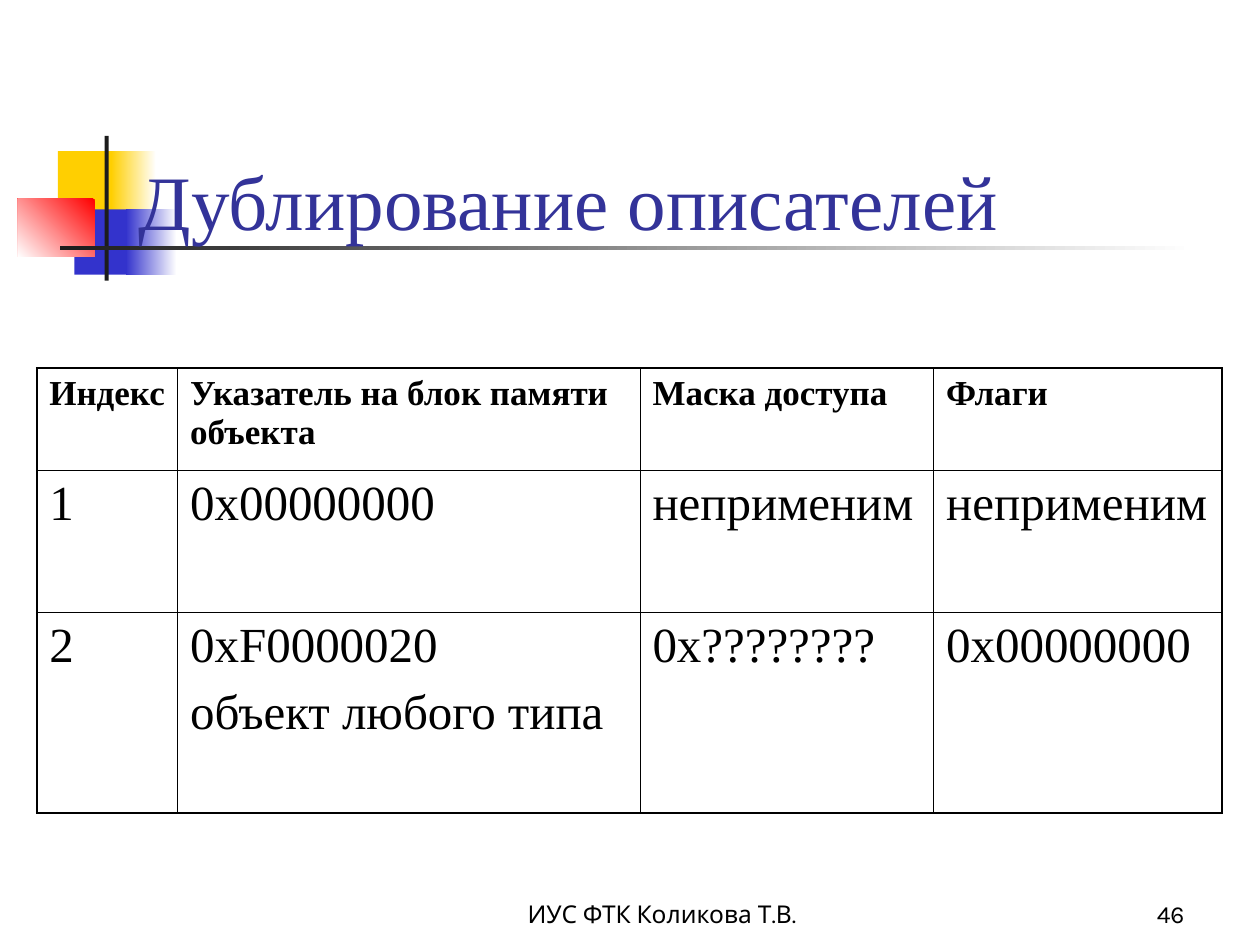
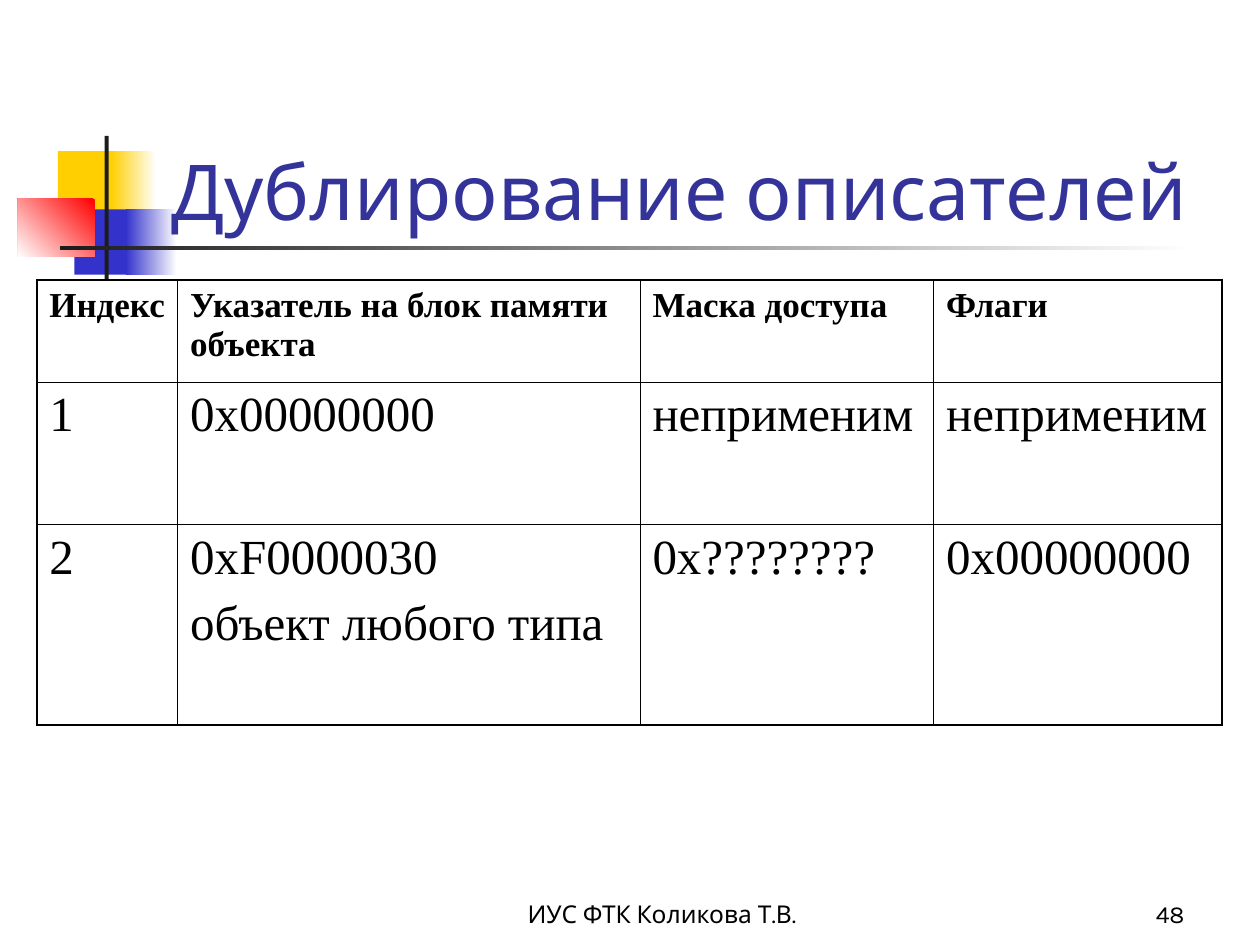
from lxml.etree import SubElement
from pptx import Presentation
from pptx.dml.color import RGBColor
from pptx.enum.shapes import MSO_SHAPE as Shape
from pptx.enum.text import MSO_ANCHOR as Anchor, MSO_AUTO_SIZE as AutoSize, PP_ALIGN as Align
from pptx.oxml.ns import qn
from pptx.util import Cm, Pt

SERIF, SANS = "Times New Roman", "Karla"
BLACK, WHITE, INK = "000000", "FFFFFF", "1C1C1C"
YELLOW, BLUE, RED, TITLE_BLUE = "FFCF01", "3333CC", "FF0000", "333399"
THIN, THICK = 0.45, 1.08

MOTIF = [
    ((1.17, 3.05, 1.22, 1.32), [YELLOW], 0),
    ((2.24, 3.05, 0.91, 1.32), [WHITE, YELLOW], 180),
    ((1.5, 4.22, 1.17, 1.32), [BLUE], 0),
    ((2.54, 4.22, 1.02, 1.32), [WHITE, BLUE], 180),
    ((0.36, 4.01, 1.55, 1.17), [RED, WHITE], 225),
    ((2.11, 2.74, 0.08, 2.92), [INK], 0),
    ((1.22, 4.95, 22.86, 0.09), [WHITE, INK], 180),
]
COLUMNS = (2.84, 9.32, 5.92, 5.82)
ROWS = (2.06, 2.87, 4.04)
HEADINGS = ("Индекс", "Указатель на блок памяти объекта", "Маска доступа", "Флаги")
HEADING_FORMAT = {"name": SERIF, "size": Pt(20), "bold": True}
BODY_FORMAT = {"name": SERIF, "size": Pt(28), "bold": False}
FOOTER_FORMAT = {"name": SANS, "size": Pt(14)}


def rgb(value):
    return RGBColor.from_string(value)


def lengths(box):
    return [Cm(v) for v in box]


def set_attributes(target, values):
    for name, value in values.items():
        setattr(target, name, value)


def write(tf, text, font, color=BLACK, **paragraph):
    tf.text = text
    for p in tf.paragraphs:
        set_attributes(p, paragraph)
        for r in p.runs:
            set_attributes(r.font, font)
            r.font.color.rgb = rgb(color)


def add_block(s, box, colors, angle):
    sp = s.shapes.add_shape(Shape.RECTANGLE, *lengths(box))
    sp.shadow.inherit = False
    sp.line.fill.background()
    if len(colors) == 1:
        sp.fill.solid()
        sp.fill.fore_color.rgb = rgb(colors[0])
    else:
        sp.fill.gradient()
        sp.fill.gradient_angle = angle
        for stop, color in zip(sp.fill.gradient_stops, colors):
            stop.color.rgb = rgb(color)
    return sp


def add_motif(s):
    for box, colors, angle in MOTIF:
        sp = add_block(s, box, colors, angle)
        s.slide_layout.shapes._spTree.append(sp._element)


def set_title(s, text, left, top, font):
    sp = s.shapes.title
    set_attributes(sp, dict(zip(("left", "top", "width", "height"),
                                lengths((left, top, 21.64, 3.18)))))
    set_attributes(sp.text_frame, {"word_wrap": True, "auto_size": AutoSize.NONE,
                                   "vertical_anchor": Anchor.BOTTOM})
    write(sp.text_frame, text, {"name": font, "size": Pt(44)}, TITLE_BLUE,
          alignment=Align.LEFT)


def add_footer(s, text, left, width, align):
    tf = s.shapes.add_textbox(*lengths((left, 17.58, width, 1.27))).text_frame
    set_attributes(tf, {"word_wrap": True, "vertical_anchor": Anchor.BOTTOM})
    write(tf, text, FOOTER_FORMAT, alignment=align)


def set_borders(cell, widths):
    tc_pr = cell._tc.get_or_add_tcPr()
    for i, (side, width) in enumerate(zip("LRTB", widths)):
        ln = SubElement(tc_pr, qn(f"a:ln{side}"), w=str(Pt(width)))
        fill = SubElement(ln, qn("a:solidFill"))
        SubElement(fill, qn("a:srgbClr"), val=BLACK)
        tc_pr.insert(i, ln)


def add_handle_table(s, top, rows):
    box = lengths((0.74, top, sum(COLUMNS), sum(ROWS)))
    table = s.shapes.add_table(len(ROWS), len(COLUMNS), *box).table
    set_attributes(table, {"first_row": False, "horz_banding": False})
    for column, width in zip(table.columns, COLUMNS):
        column.width = Cm(width)
    for row, height in zip(table.rows, ROWS):
        row.height = Cm(height)
    last_row, last_col = len(ROWS) - 1, len(COLUMNS) - 1
    for i, texts in enumerate([HEADINGS, *rows]):
        font, space = (BODY_FORMAT, Pt(7)) if i else (HEADING_FORMAT, Pt(5))
        for j, text in enumerate(texts):
            cell = table.cell(i, j)
            cell.fill.background()
            write(cell.text_frame, text, font, space_before=space)
            outer = (j == 0, j == last_col, i == 0, i == last_row)
            set_borders(cell, [THICK if edge else THIN for edge in outer])


def add_handle_slide(prs, number, title_left, title_top, title_font, table_top, pointer):
    s = prs.slides.add_slide(prs.slide_layouts[5])
    set_title(s, "Дублирование описателей", title_left, title_top, title_font)
    add_handle_table(s, table_top, [
        ("1", "0x00000000", "неприменим", "неприменим"),
        ("2", f"{pointer}\nобъект любого типа", "0x????????", "0x00000000"),
    ])
    add_footer(s, "ИУС ФТК Коликова Т.В.", 9.32, 8.05, Align.CENTER)
    add_footer(s, number, 18.85, 5.28, Align.RIGHT)
    return s


def main():
    prs = Presentation()
    prs.slide_width, prs.slide_height = Cm(25.4), Cm(19.05)
    s = add_handle_slide(prs, "46", 2.54, 1.9, SERIF, 7.42, "0xF0000020")
    add_motif(s)
    add_handle_slide(prs, "48", 3.2, 1.7, SANS, 5.64, "0xF0000030")
    prs.save("out.pptx")


if __name__ == "__main__":
    main()
